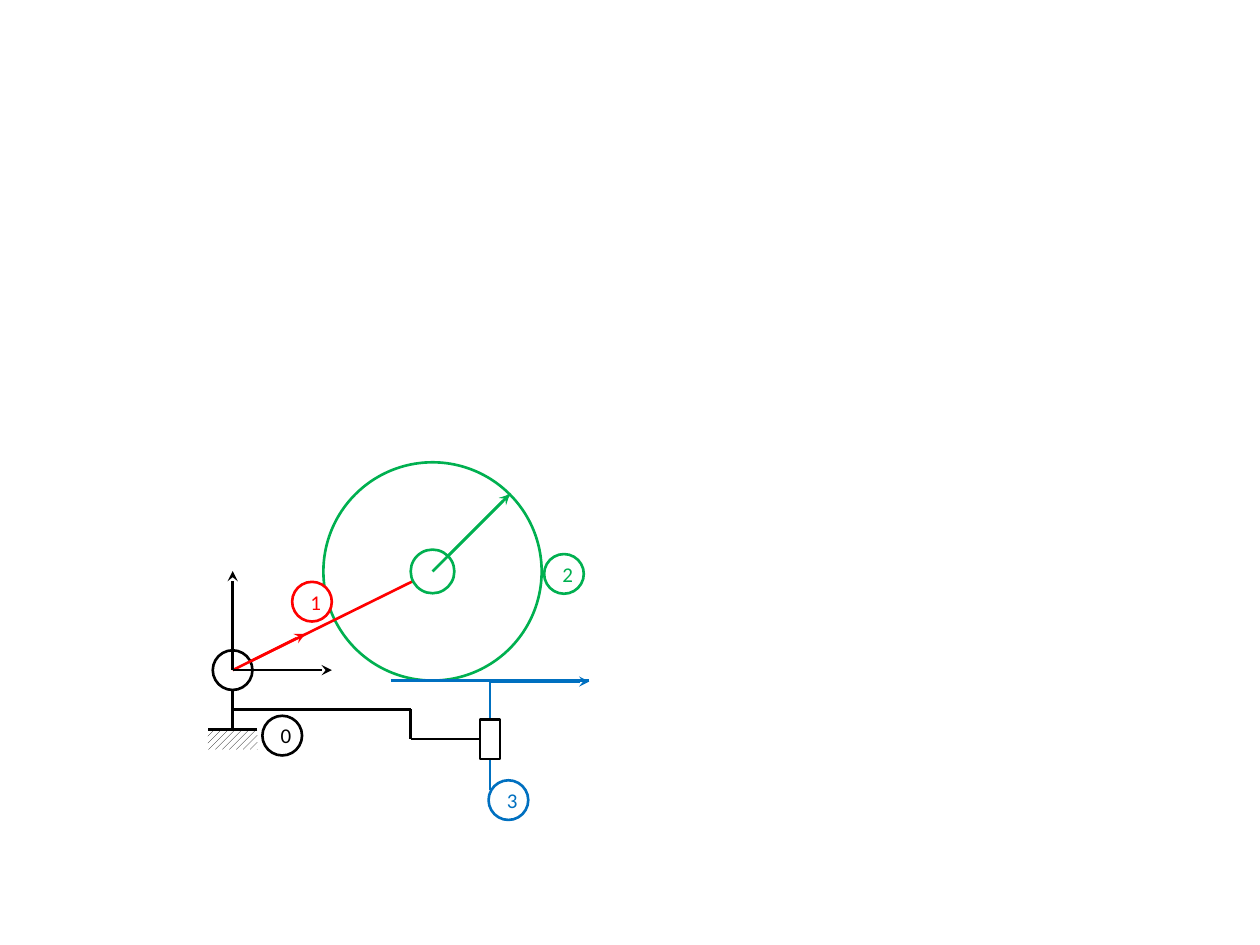
from math import cos, radians

from lxml import etree
from pptx import Presentation
from pptx.dml.color import RGBColor
from pptx.enum.dml import MSO_PATTERN
from pptx.enum.shapes import MSO_CONNECTOR, MSO_SHAPE
from pptx.enum.text import MSO_ANCHOR, PP_ALIGN
from pptx.oxml.ns import qn
from pptx.util import Cm, Pt

OVAL, RECT = MSO_SHAPE.OVAL, MSO_SHAPE.RECTANGLE
STRAIGHT = MSO_CONNECTOR.STRAIGHT
HATCH = MSO_PATTERN.WIDE_UPWARD_DIAGONAL
MIDDLE, CENTER = MSO_ANCHOR.MIDDLE, PP_ALIGN.CENTER

COLORS = {"frame": "000000", "crank": "FF0000", "wheel": "00B050",
          "rod": "0070C0", "paper": "FFFFFF"}
WIDTH = Pt(1.5)
PIN_R, HUB_R, WHEEL_R = 0.4, 0.44, 2.2
AXIS = 2.0

# Joint centres, in cm
PIN_X, PIN_Y = 4.69, 13.51
HUB_X, HUB_Y = 8.72, 11.52
ROD_X, ROD_Y = 9.88, HUB_Y + WHEEL_R
BOX_Y = 14.9
GROUND_Y = 14.71
ARM_Y, BEND_X = 14.3, 8.28

LABELS = [("0", "frame", 5.69, 14.83), ("1", "crank", 6.29, 12.13),
          ("2", "wheel", 11.37, 11.57), ("3", "rod", 10.25, 16.13)]


def rgb(name):
    return RGBColor.from_string(COLORS[name])


def add_shape(slide, kind, x, y, w, h, color):
    """Add a white outlined shape centred on x, y."""
    shape = slide.shapes.add_shape(kind, Cm(x - w / 2), Cm(y - h / 2), Cm(w), Cm(h))
    shape.shadow.inherit = False
    shape.fill.solid()
    shape.fill.fore_color.rgb = rgb("paper")
    shape.line.color.rgb = rgb(color)
    shape.line.width = WIDTH
    return shape


def add_ring(slide, x, y, r, color):
    return add_shape(slide, OVAL, x, y, 2 * r, 2 * r, color)


def add_label(slide, text, color, x, y):
    frame = add_ring(slide, x, y, PIN_R, color).text_frame
    frame.vertical_anchor = MIDDLE
    par = frame.paragraphs[0]
    par.text = text
    par.alignment = CENTER
    par.font.name = "Calibri"
    par.font.size = Pt(12)
    par.font.color.rgb = rgb(color)


def add_ground(slide):
    ground = add_shape(slide, RECT, PIN_X, GROUND_Y + 0.2, 1, 0.4, "frame")
    ground.fill.patterned()
    ground.fill.pattern = HATCH
    ground.fill.fore_color.rgb = rgb("frame")
    ground.fill.back_color.rgb = rgb("paper")
    ground.line.fill.background()
    return ground


def add_line(slide, x1, y1, x2, y2, color):
    line = slide.shapes.add_connector(STRAIGHT, Cm(x1), Cm(y1), Cm(x2), Cm(y2))
    line.line.color.rgb = rgb(color)
    line.line.width = WIDTH
    etree.SubElement(line.element.spPr, qn("a:effectLst"))
    return line


def add_arrow(slide, x1, y1, x2, y2, color):
    line = add_line(slide, x1, y1, x2, y2, color)
    stroke = line.element.spPr.find(qn("a:ln"))
    etree.SubElement(stroke, qn("a:tailEnd"), type="stealth")


def main():
    deck = Presentation()
    deck.slide_width, deck.slide_height = Cm(25.4), Cm(19.05)
    slide = deck.slides.add_slide(deck.slide_layouts[6])
    diag = cos(radians(45))
    tip_x, tip_y = HUB_X + WHEEL_R * diag, HUB_Y - WHEEL_R * diag

    add_ring(slide, HUB_X, HUB_Y, WHEEL_R, "wheel")
    ground = add_ground(slide)
    post = add_line(slide, PIN_X, PIN_Y + PIN_R, PIN_X, GROUND_Y, "frame")
    post.end_connect(ground, 0)
    add_line(slide, PIN_X + 0.5, GROUND_Y, PIN_X - 0.5, GROUND_Y, "frame")
    add_line(slide, PIN_X, PIN_Y, HUB_X, HUB_Y, "crank")
    add_ring(slide, PIN_X, PIN_Y, PIN_R, "frame")
    add_ring(slide, HUB_X, HUB_Y, HUB_R, "wheel")

    add_line(slide, ROD_X - AXIS, ROD_Y, ROD_X + AXIS, ROD_Y, "rod")
    add_line(slide, ROD_X, 15.93, ROD_X, ROD_Y, "rod")
    add_line(slide, tip_x, tip_y, HUB_X + HUB_R * diag, HUB_Y - HUB_R * diag, "wheel")
    guide = add_shape(slide, RECT, ROD_X, BOX_Y, 0.4, 0.8, "frame")
    add_line(slide, BEND_X, ARM_Y, PIN_X, ARM_Y, "frame")
    arm = add_line(slide, ROD_X - 0.2, BOX_Y, BEND_X, BOX_Y, "frame")
    arm.begin_connect(guide, 1)
    add_line(slide, BEND_X, ARM_Y, BEND_X, BOX_Y, "frame")

    for label in LABELS:
        add_label(slide, *label)

    add_arrow(slide, PIN_X, PIN_Y, 6.15, 12.78, "crank")
    add_arrow(slide, PIN_X, PIN_Y, PIN_X + AXIS, PIN_Y, "frame")
    add_arrow(slide, PIN_X, PIN_Y, PIN_X, PIN_Y - AXIS, "frame")
    add_arrow(slide, HUB_X, HUB_Y, tip_x, tip_y, "wheel")
    add_arrow(slide, ROD_X, ROD_Y + 0.02, ROD_X + AXIS, ROD_Y + 0.02, "rod")
    deck.save("out.pptx")


if __name__ == "__main__":
    main()
